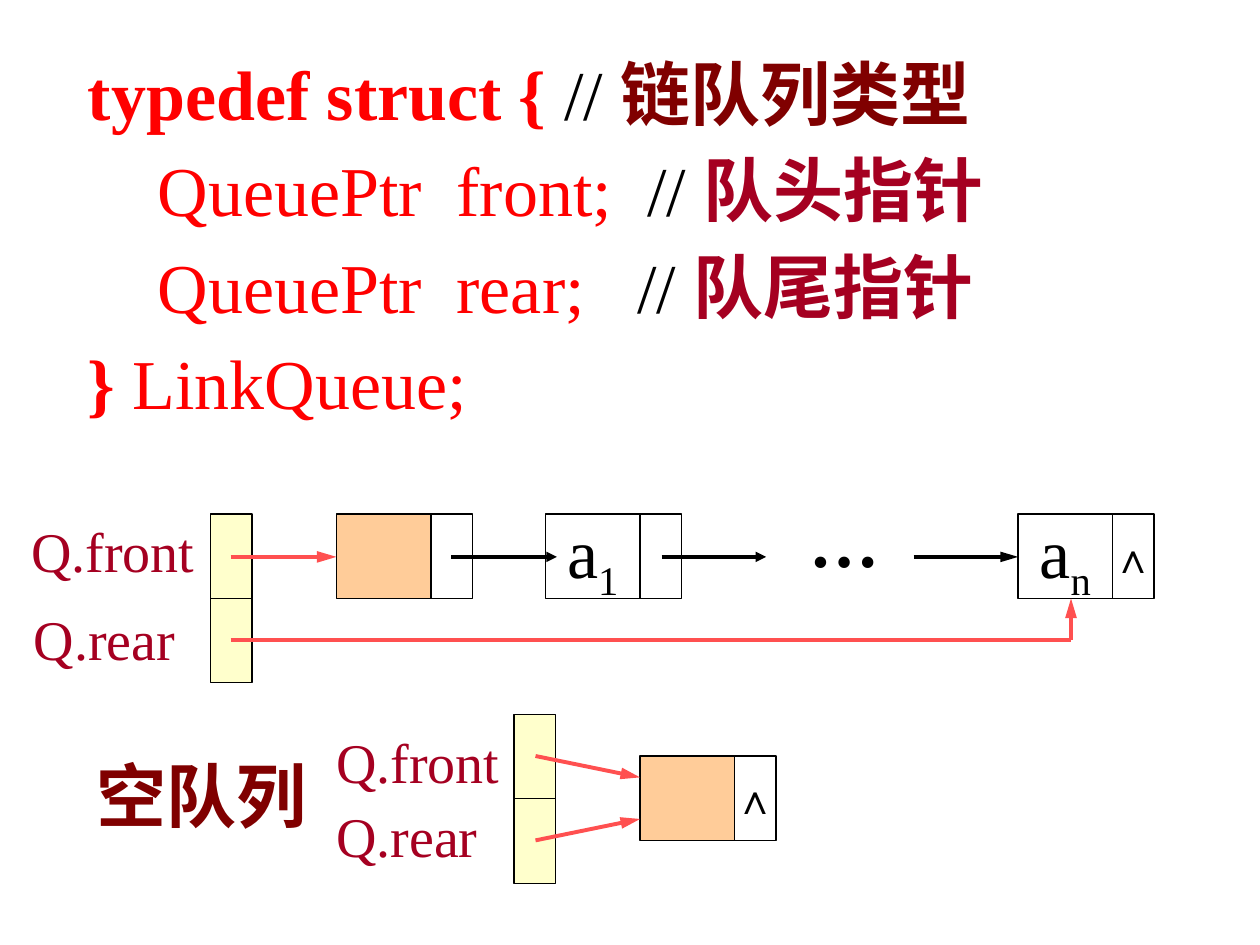
"""Build the linked queue slide: type definition, filled queue and empty queue."""
import pptx
import pptx.util
import pptx.dml.color
import pptx.enum.shapes
import pptx.enum.text
import pptx.oxml.ns
from lxml import etree

Inches = pptx.util.Inches
FONT = "Times New Roman"
COLORS = {
    "black": "000000", "red": "FF0000", "maroon": "800000", "crimson": "A50021",
    "arrow": "FF5050", "orange": "FFCC99", "cream": "FFFFCC",
}
DATA_W, LINK_W, CELL_H = 0.75, 0.33, 0.67

CODE = [
    [("typedef struct { ", "red", True), ("// ", "black", False), ("链队列类型", "maroon", True)],
    [("    QueuePtr  front;", "red", False), ("  // ", "black", False), ("队头指针", "crimson", True)],
    [("    QueuePtr  rear;", "red", False), ("   // ", "black", False), ("队尾指针", "crimson", True)],
    [("}", "red", True), (" LinkQueue;", "red", False)],
]
FRONT = [("Q.front", "crimson", False)]
REAR = [("Q.rear", "crimson", False)]
TEXTS = [
    ((0.6, 0.25, 7.44, 3.17), CODE, 40, 1.15, False),
    ((6.33, 3.9, 0.92, 0.77), [[("…", "black", True)]], 40, 1, True),
    ((0.15, 4, 1.5, 0.69), [FRONT], 32, 1.1, False),
    ((0.17, 4.75, 1.4, 0.64), [REAR], 32, 1, False),
    ((2.57, 5.67, 1.5, 1.28), [FRONT, REAR], 32, 1.1, False),
    ((0.67, 5.92, 1.98, 0.77), [[("空队列", "maroon", True)]], 40, 1, True),
]
NODES = [
    (2.67, 4.08, "orange", "", ""),
    (4.33, 4.08, None, "1", ""),
    (8.08, 4.08, None, "n", "∧"),
    (5.08, 6, "orange", "", "∧"),
]
HEADERS = [(1.67, 4.08), (4.08, 5.67)]
LINES = [
    ((3.58, 4.42), (4.42, 4.42), "black", 2, "med"),
    ((5.25, 4.42), (6.08, 4.42), "black", 2, "med"),
    ((7.25, 4.42), (8.08, 4.42), "black", 2, "lg"),
    ((1.83, 4.42), (2.67, 4.42), "arrow", 2.25, "lg"),
    ((1.83, 5.08), (8.5, 5.08), "arrow", 2.25, None),
    ((8.5, 5.08), (8.5, 4.75), "arrow", 2.25, "lg"),
    ((4.25, 6), (5.08, 6.17), "arrow", 2.25, "lg"),
    ((4.25, 6.67), (5.08, 6.5), "arrow", 2.25, "lg"),
]


def rgb(name):
    return pptx.dml.color.RGBColor.from_string(COLORS[name])


def set_attrs(obj, values):
    for name, value in values.items():
        setattr(obj, name, value)


def add_run(p, text, size, color="black", bold=False):
    r = p.add_run()
    r.text = text
    set_attrs(r.font, {"name": FONT, "size": pptx.util.Pt(size), "bold": bold})
    r.font.color.rgb = rgb(color)
    return r


def add_text(s, at, lines, size, spacing, wrap):
    tf = s.shapes.add_textbox(*map(Inches, at)).text_frame
    tf.word_wrap = wrap
    for i, runs in enumerate(lines):
        p = tf.add_paragraph() if i else tf.paragraphs[0]
        p.line_spacing = spacing
        for text, color, bold in runs:
            add_run(p, text, size, color, bold)


def add_cell(s, x, y, width, fill=None):
    sp = s.shapes.add_shape(pptx.enum.shapes.MSO_SHAPE.RECTANGLE,
                            *map(Inches, (x, y, width, CELL_H)))
    sp.shadow.inherit = False
    if fill:
        sp.fill.solid()
        sp.fill.fore_color.rgb = rgb(fill)
    else:
        sp.fill.background()
    sp.line.color.rgb = rgb("black")
    sp.line.width = pptx.util.Pt(0.75)
    set_attrs(sp.text_frame, {"word_wrap": False,
                              "vertical_anchor": pptx.enum.text.MSO_ANCHOR.MIDDLE})
    p = sp.text_frame.paragraphs[0]
    p.alignment = pptx.enum.text.PP_ALIGN.CENTER
    return p


def add_node(s, x, y, fill, index, link):
    data = add_cell(s, x, y, DATA_W, fill)
    pointer = add_cell(s, x + DATA_W, y, LINK_W)
    if index:
        add_run(data, "a", 40)
        r = add_run(data, index, 40)
        r._r.get_or_add_rPr().set("baseline", "-25000")
    if link:
        add_run(pointer, link, 24)


def add_line(s, start, end, color, width, head):
    line = s.shapes.add_connector(pptx.enum.shapes.MSO_CONNECTOR.STRAIGHT,
                                  *map(Inches, start + end))
    line.line.color.rgb = rgb(color)
    line.line.width = pptx.util.Pt(width)
    if head:
        etree.SubElement(line.line._get_or_add_ln(), pptx.oxml.ns.qn("a:tailEnd"),
                         {"type": "triangle", "w": "med", "len": head})
    etree.SubElement(line._element.spPr, pptx.oxml.ns.qn("a:effectLst"))


def main():
    prs = pptx.Presentation()
    set_attrs(prs, {"slide_width": Inches(10), "slide_height": Inches(7.5)})
    s = prs.slides.add_slide(prs.slide_layouts[6])
    for node in NODES:
        add_node(s, *node)
    for x, y in HEADERS:
        for row in range(2):
            add_cell(s, x, y + row * CELL_H, LINK_W, "cream")
    for line in LINES:
        add_line(s, *line)
    for text in TEXTS:
        add_text(s, *text)
    prs.save("out.pptx")


if __name__ == "__main__":
    main()
